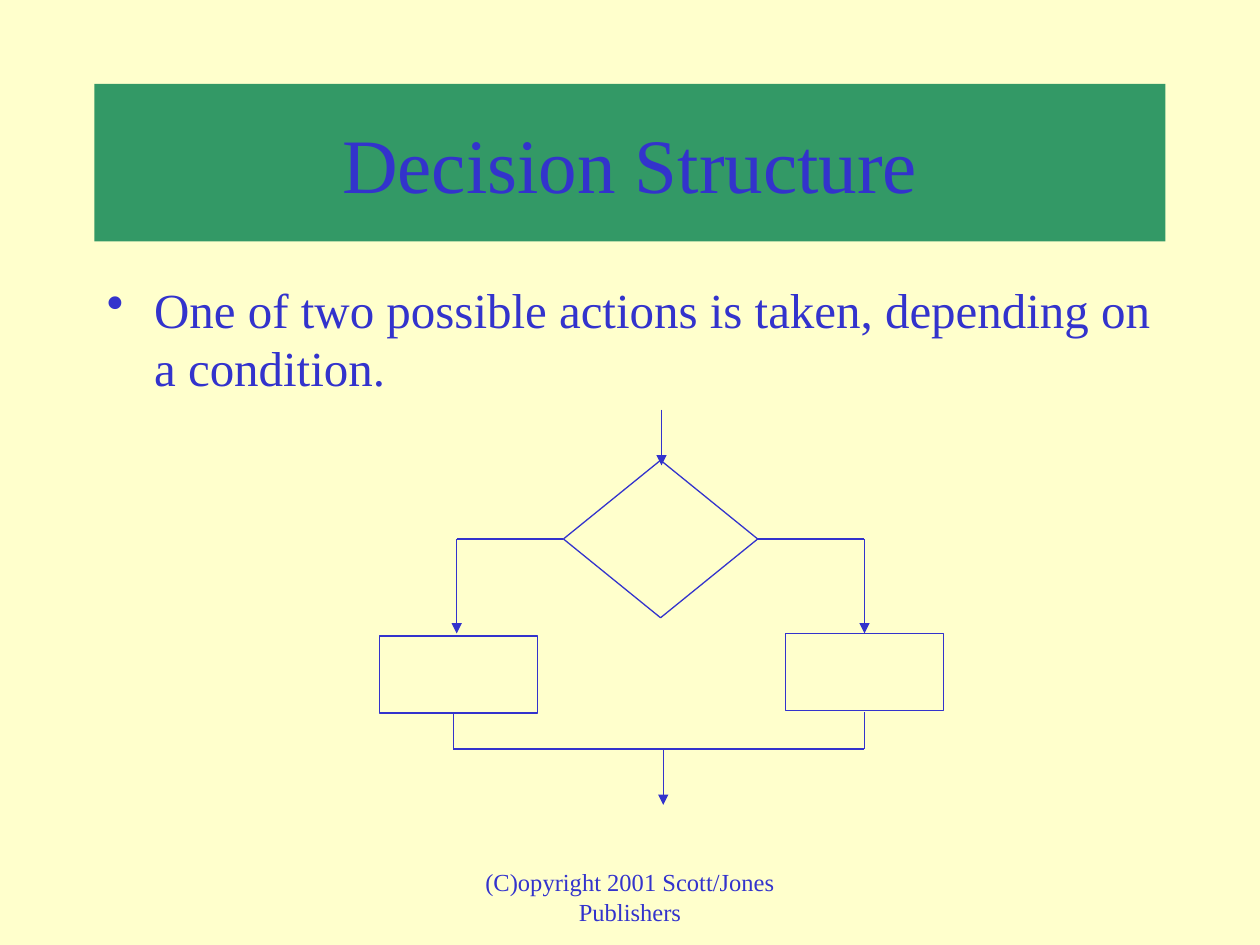
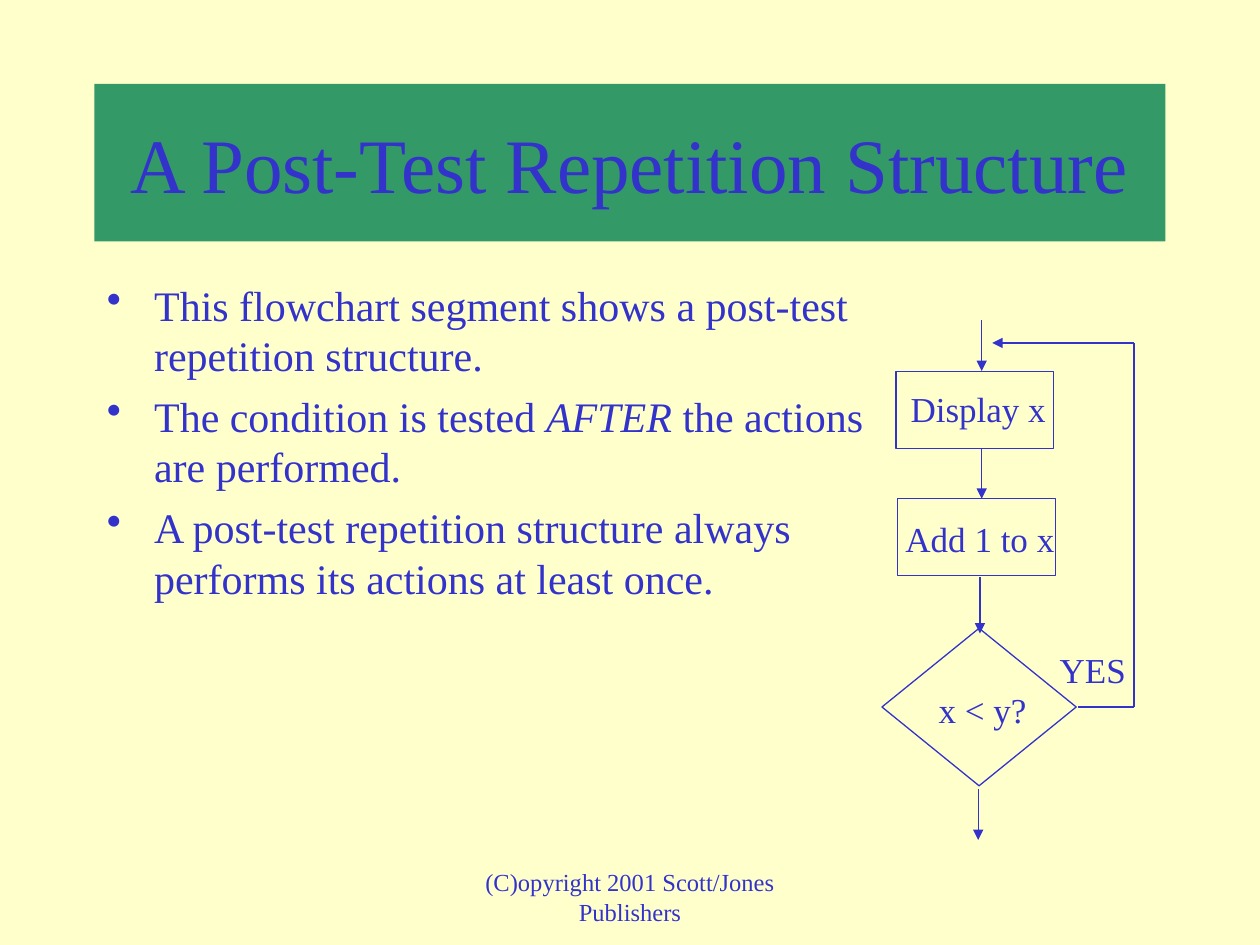
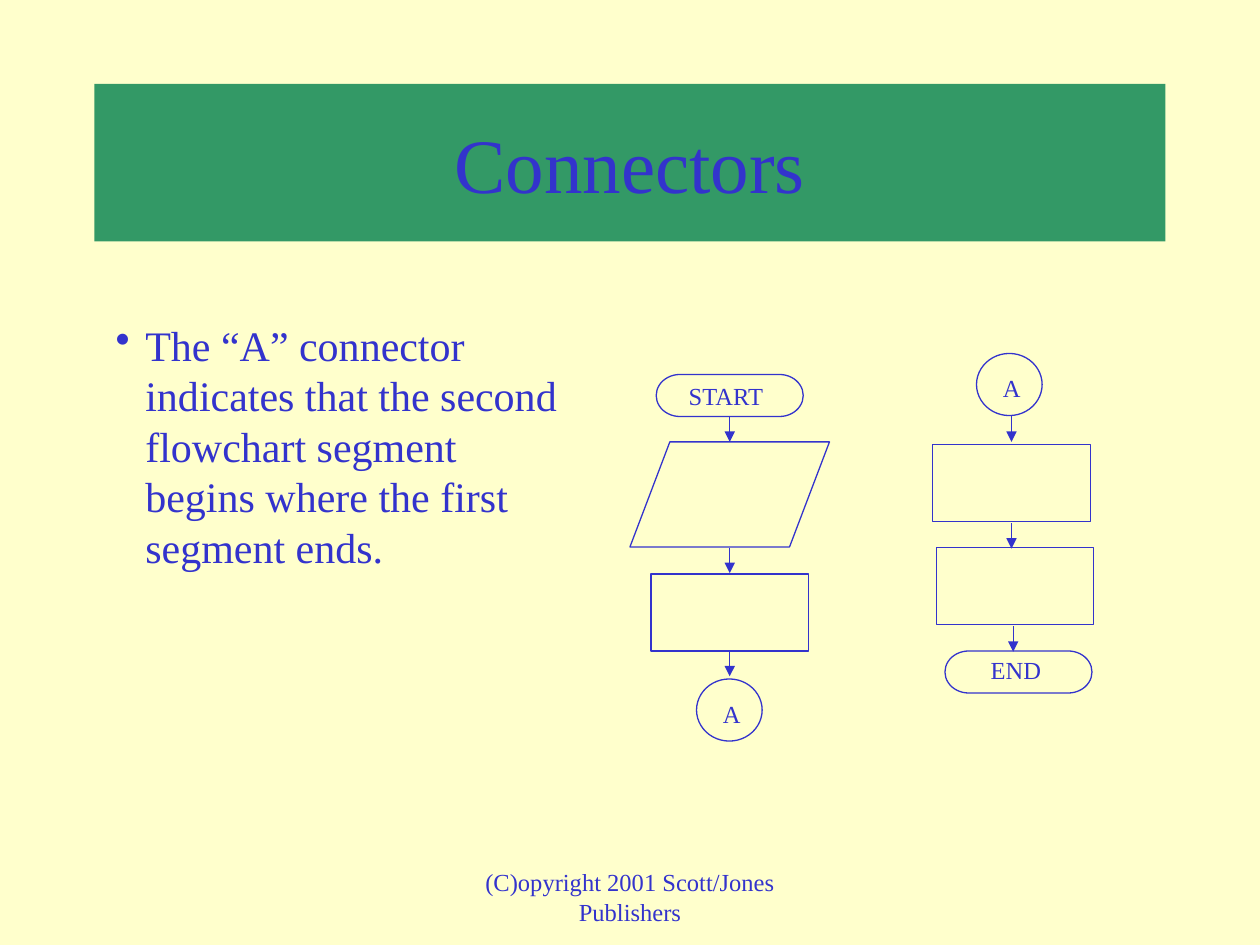
from itertools import pairwise

from lxml.etree import SubElement
from pptx import Presentation
from pptx.dml.color import RGBColor
from pptx.enum.shapes import MSO_CONNECTOR, MSO_SHAPE
from pptx.enum.text import MSO_ANCHOR, PP_ALIGN
from pptx.oxml.ns import qn
from pptx.util import Pt

CREAM = RGBColor(0xFF, 0xFF, 0xCC)
GREEN = RGBColor(0x33, 0x99, 0x66)
BLUE = RGBColor(0x33, 0x33, 0xCC)
FONT = "Times New Roman"
FOOTER = "(C)opyright 2001 Scott/Jones Publishers"

# Areas: left, top, width, height
TITLE_AREA = (54, 48, 612, 90)
BODY_AREA = (54, 156, 612, 324)
FOOTER_AREA = (246, 492, 228, 36)

# Flowchart symbols: preset shape, width, height
SYMBOLS = {
    "process": (MSO_SHAPE.RECTANGLE, 90, 44),
    "decision": (MSO_SHAPE.FLOWCHART_DECISION, 111, 90),
    "data": (MSO_SHAPE.FLOWCHART_DATA, 114, 60),
    "terminal": (MSO_SHAPE.FLOWCHART_TERMINATOR, 84, 24),
    "junction": (MSO_SHAPE.FLOWCHART_CONNECTOR, 37.5, 35.5),
}
LEFT, CENTER = PP_ALIGN.LEFT, PP_ALIGN.CENTER

# symbols: kind, left, top; labels: text, area, size, alignment
# arrows and lines: the points they pass through
# bullets: runs of (text, italic)
SLIDES = [
    {
        "title": "Decision Structure",
        "body": {"area": BODY_AREA, "size": 28, "indent": 27, "bullets": [
            [("One of two possible actions is taken, depending on a condition.", False)],
        ]},
        "symbols": [("process", 217, 363.5), ("decision", 322, 263), ("process", 449, 362)],
        "arrows": [
            [(378, 234), (378, 266)],
            [(322, 308), (261, 308), (261, 362)],
            [(433, 308), (494, 308), (494, 362)],
            [(379, 428), (379, 460)],
        ],
        "lines": [[(259, 407), (259, 428), (494, 428), (494, 407)]],
        "labels": [],
    },
    {
        "title": "A Post-Test Repetition Structure",
        "body": {"area": BODY_AREA, "size": 24, "indent": 27, "bullets": [
            [("This flowchart segment shows a post-test\nrepetition structure.", False)],
            [("The condition is tested ", False), ("AFTER", True),
             (" the actions\nare performed.", False)],
            [("A post-test repetition structure always\n"
              "performs its actions at least once.", False)],
        ]},
        "symbols": [("process", 512, 212.5), ("process", 513, 285), ("decision", 504, 359)],
        "arrows": [
            [(561, 183), (561, 212)],
            [(561, 256), (561, 285)],
            [(560, 330), (560, 362)],
            [(559, 451), (559, 480)],
            [(616, 404), (648, 404), (648, 196), (567, 196)],
        ],
        "lines": [],
        "labels": [
            ("Display x", (508, 218, 102, 32), 20, CENTER),
            ("Add 1 to x", (509, 292, 102, 32), 20, CENTER),
            ("YES", (594, 367, 61, 32), 20, CENTER),
            ("x < y?", (524, 390, 75, 32), 20, CENTER),
        ],
    },
    {
        "title": "Connectors",
        "body": {"area": (59, 179, 274, 151), "size": 24, "indent": 17, "bullets": [
            [("The “A” connector indicates that the second flowchart segment "
              "begins where the first segment ends.", False)],
        ]},
        "symbols": [
            ("terminal", 375, 214), ("data", 360, 252.5),
            ("process", 372, 328), ("junction", 398, 388),
            ("junction", 558, 202), ("process", 533, 254),
            ("process", 535, 313), ("terminal", 540, 372),
        ],
        "arrows": [[(x, top), (x, top + 14.5)] for x, top in (
            (417, 238), (417, 313), (417, 372), (578, 238), (578, 299), (579, 358))],
        "lines": [],
        "labels": [
            ("START", (386.5, 214, 61, 24), 14, LEFT),
            ("A", (406, 396, 19, 24), 14, LEFT),
            ("A", (566, 209.5, 19, 24), 14, LEFT),
            ("END", (550, 371, 61, 24), 14, CENTER),
        ],
    },
]


def points(values):
    return [Pt(value) for value in values]


def set_font(paragraph, size):
    font = paragraph.font
    font.name, font.size, font.color.rgb = FONT, Pt(size), BLUE


def write(frame, text, size, alignment):
    frame.word_wrap = True
    paragraph = frame.paragraphs[0]
    paragraph.text = text
    paragraph.alignment = alignment
    set_font(paragraph, size)


def add_label(slide, text, area, size, alignment):
    write(slide.shapes.add_textbox(*points(area)).text_frame, text, size, alignment)


def add_title(slide, text):
    band = slide.shapes.add_shape(MSO_SHAPE.RECTANGLE, *points(TITLE_AREA))
    band.shadow.inherit = False
    band.fill.solid()
    band.fill.fore_color.rgb = GREEN
    band.line.fill.background()
    band.text_frame.vertical_anchor = MSO_ANCHOR.MIDDLE
    write(band.text_frame, text, 44, CENTER)


def add_body(slide, area, size, indent, bullets):
    frame = slide.shapes.add_textbox(*points(area)).text_frame
    frame.word_wrap = True
    for number, runs in enumerate(bullets):
        paragraph = frame.add_paragraph() if number else frame.paragraphs[0]
        properties = paragraph._p.get_or_add_pPr()
        properties.set("marL", str(Pt(indent)))
        properties.set("indent", str(-Pt(indent)))
        SubElement(properties, qn("a:buChar"), char="•")
        if number:
            paragraph.space_before = Pt(6)
        set_font(paragraph, size)
        for text, italic in runs:
            for row, part in enumerate(text.split("\n")):
                if row:
                    paragraph.add_line_break()
                run = paragraph.add_run()
                run.text = part
                if italic:
                    run.font.italic = True


def add_symbol(slide, kind, left, top):
    preset, width, height = SYMBOLS[kind]
    symbol = slide.shapes.add_shape(preset, *points((left, top, width, height)))
    symbol.shadow.inherit = False
    symbol.fill.background()
    symbol.line.color.rgb = BLUE
    symbol.line.width = Pt(0.75)


def add_route(slide, stops, arrow):
    for start, end in pairwise(stops):
        segment = slide.shapes.add_connector(
            MSO_CONNECTOR.STRAIGHT, *points(start + end))
        segment.line.color.rgb = BLUE
        segment.line.width = Pt(0.75)
        if arrow and end == stops[-1]:
            SubElement(segment.line._get_or_add_ln(), qn("a:tailEnd"), type="triangle")
        SubElement(segment._element.spPr, qn("a:effectLst"))


def main():
    deck = Presentation()
    deck.slide_width, deck.slide_height = Pt(720), Pt(540)
    for content in SLIDES:
        slide = deck.slides.add_slide(deck.slide_layouts[6])
        slide.background.fill.solid()
        slide.background.fill.fore_color.rgb = CREAM
        add_title(slide, content["title"])
        add_body(slide, **content["body"])

        # Flowchart
        for symbol in content["symbols"]:
            add_symbol(slide, *symbol)
        for stops in content["arrows"]:
            add_route(slide, stops, arrow=True)
        for stops in content["lines"]:
            add_route(slide, stops, arrow=False)
        for label in content["labels"]:
            add_label(slide, *label)

        add_label(slide, FOOTER, FOOTER_AREA, 14, CENTER)
    deck.save("out.pptx")


if __name__ == "__main__":
    main()
